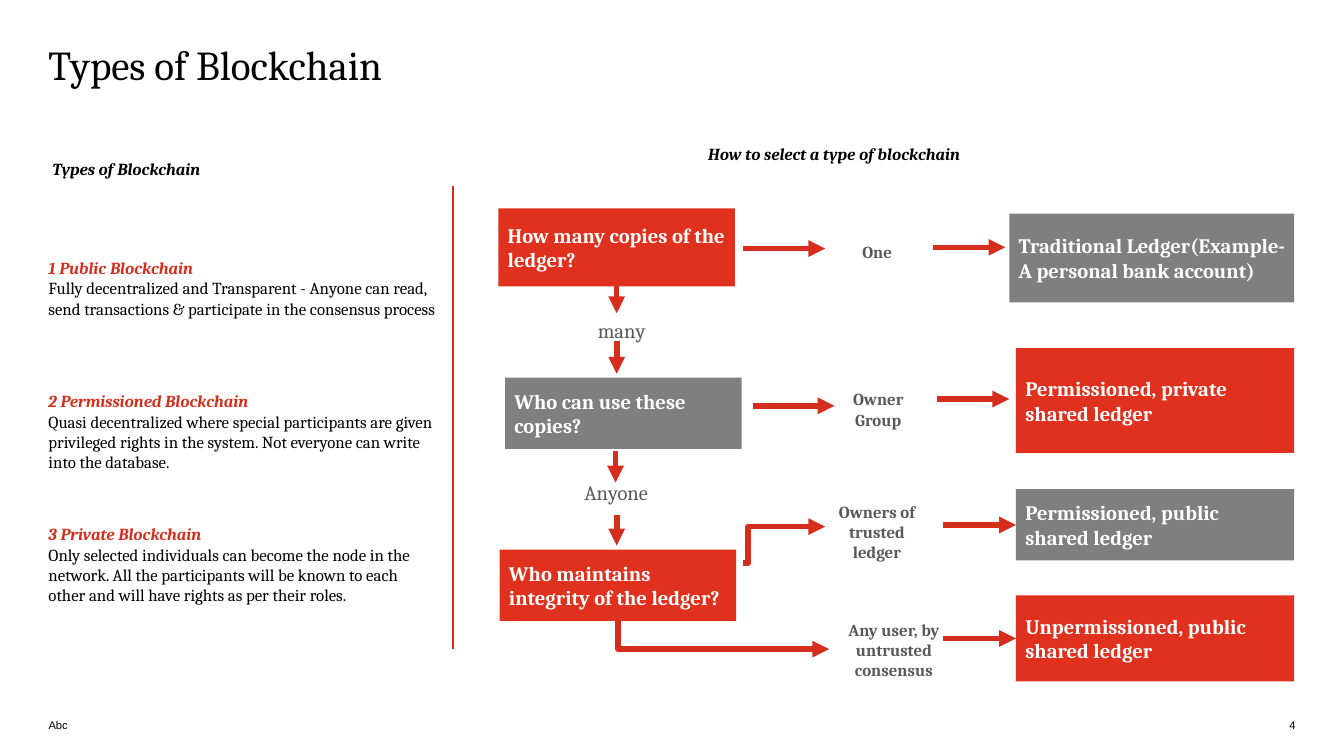
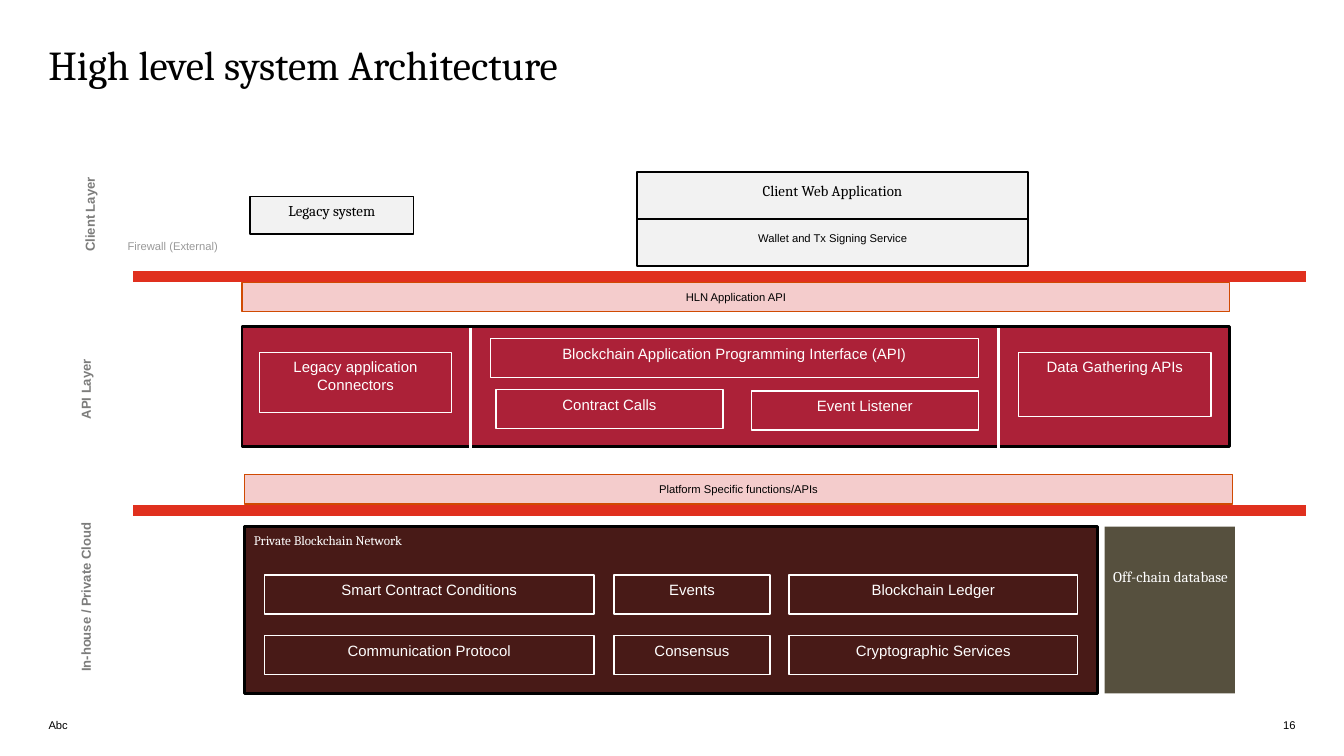
from lxml.etree import SubElement
from pptx import Presentation
from pptx.dml.color import RGBColor
from pptx.enum.shapes import MSO_CONNECTOR, MSO_SHAPE
from pptx.enum.text import MSO_ANCHOR, PP_ALIGN
from pptx.oxml.ns import qn
from pptx.util import Pt

SERIF, SANS = "Cambria", "Arial"
BLACK, WHITE, PALE = "000000", "FFFFFF", "F2F2F2"
RED, ARROW_RED, GREY, TEXT_GREY = "E0301E", "D62E1C", "7F7F7F", "595959"
LABEL_GREY, FIREWALL_GREY = "7C7C7B", "999999"
PINK, ORANGE, CRIMSON, MAROON, OLIVE = "F4CCCC", "D04A02", "AC2138", "481A17", "56503E"
LEFT, CENTER, RIGHT = PP_ALIGN.LEFT, PP_ALIGN.CENTER, PP_ALIGN.RIGHT
TOP, MIDDLE, BOTTOM = MSO_ANCHOR.TOP, MSO_ANCHOR.MIDDLE, MSO_ANCHOR.BOTTOM


def rgb(value):
    """Turn a hex string into a colour."""
    return RGBColor.from_string(value)


def add_run(p, text, size, color, font=SERIF, bold=False, italic=False):
    """Append one formatted run to a paragraph."""
    r = p.add_run()
    r.text = text
    r.font.name, r.font.size = font, Pt(size)
    r.font.bold, r.font.italic = bold, italic
    r.font.color.rgb = rgb(color)


def set_frame(sp, inset, anchor, align):
    """Prepare a text frame and return its first paragraph."""
    tf = sp.text_frame
    tf.word_wrap = True
    tf.margin_left = tf.margin_right = Pt(inset[0])
    tf.margin_top = tf.margin_bottom = Pt(inset[1])
    tf.vertical_anchor = anchor
    p = tf.paragraphs[0]
    p.alignment = align
    return p


def add_text(s, x, y, w, h, text, size, color, inset=(0, 0), anchor=TOP, align=LEFT, **style):
    """Place a text box with one run and return it."""
    sp = s.shapes.add_textbox(Pt(x), Pt(y), Pt(w), Pt(h))
    add_run(set_frame(sp, inset, anchor, align), text, size, color, **style)
    return sp


def add_box(s, x, y, w, h, fill=None, line=None, width=0.75):
    """Place a plain rectangle and return it."""
    sp = s.shapes.add_shape(MSO_SHAPE.RECTANGLE, Pt(x), Pt(y), Pt(w), Pt(h))
    sp.shadow.inherit = False
    if fill:
        sp.fill.solid()
        sp.fill.fore_color.rgb = rgb(fill)
    else:
        sp.fill.background()
    if line:
        sp.line.color.rgb = rgb(line)
        sp.line.width = Pt(width)
    else:
        sp.line.fill.background()
    return sp


def add_line(s, x1, y1, x2, y2, color=ARROW_RED, width=3, arrow=False, kind=MSO_CONNECTOR.STRAIGHT):
    """Draw a connector without shadow and return it."""
    cxn = s.shapes.add_connector(kind, Pt(x1), Pt(y1), Pt(x2), Pt(y2))
    cxn.line.color.rgb = rgb(color)
    cxn.line.width = Pt(width)
    if arrow:
        SubElement(cxn.line._get_or_add_ln(), qn("a:tailEnd"), type="triangle")
    SubElement(cxn._element.spPr, qn("a:effectLst"))
    return cxn


def add_step_arrow(s, x1, y1, x2, y2, bend):
    """Draw an arrow that goes across, up or down, and across again."""
    cxn = add_line(s, x1, y1, x2, y2, arrow=True, kind=MSO_CONNECTOR.ELBOW)
    guides = cxn._element.spPr.find(qn("a:prstGeom")).find(qn("a:avLst"))
    SubElement(guides, qn("a:gd"), name="adj1", fmla=f"val {round(bend * 100000)}")


def add_corner_arrow(s, x1, y1, x2, y2):
    """Draw an arrow that goes down and then right."""
    cx, cy = (x1 + x2) / 2, (y1 + y2) / 2
    half_w, half_h = (y2 - y1) / 2, (x2 - x1) / 2
    cxn = add_line(s, cx + half_w, cy - half_h, cx - half_w, cy + half_h,
                   arrow=True, kind=MSO_CONNECTOR.ELBOW)
    spPr = cxn._element.spPr
    spPr.find(qn("a:prstGeom")).set("prst", "bentConnector2")
    spPr.find(qn("a:xfrm")).set("rot", str(270 * 60000))


def add_slide(prs, title, number):
    """Add a slide with its title, footer and number."""
    s = prs.slides.add_slide(prs.slide_layouts[6])
    sp = add_text(s, 26, 25, 667.5, 51, title, 22, BLACK)
    sp.text_frame.paragraphs[0].line_spacing = 0.85
    add_text(s, 26, 384, 323, 8, "Abc", 6, BLACK, anchor=BOTTOM, font=SANS)
    add_text(s, 590, 384, 104, 8, number, 6, BLACK, anchor=BOTTOM, align=RIGHT, font=SANS)
    return s


def type_list(s, x, y, w, h):
    """List the three types beside a vertical rule."""
    add_text(s, x + 2, y, 198, 10, "Types of Blockchain", 9, BLACK, bold=True, italic=True)
    types = [
        ("1 Public Blockchain", "Fully decentralized and Transparent - Anyone can read, "
         "send transactions & participate in the consensus process"),
        ("2 Permissioned Blockchain", "Quasi decentralized where special participants are given "
         "privileged rights in the system. Not everyone can write into the database."),
        ("3 Private Blockchain", "Only selected individuals can become the node in the network. "
         "All the participants will be known to each other and will have rights as per their roles."),
    ]
    for i, (name, detail) in enumerate(types):
        sp = add_text(s, x, y + 53.2 + i * 71.3, 208, 44, name, 9, ARROW_RED, bold=True, italic=True)
        add_run(sp.text_frame.add_paragraph(), detail, 9, BLACK)
    add_line(s, x + w, y + 14.4, x + w, y + h, width=1)


def flow_box(s, x, y, w, h, fill, text):
    """Place a filled box of the decision flow."""
    sp = add_box(s, x, y, w, h, fill)
    add_run(set_frame(sp, (5, 3), MIDDLE, LEFT), text, 11, WHITE, bold=True)
    return sp


def question_column(s, x, y):
    """Stack the questions with the words that lead from one to the next."""
    questions = [
        (0, 34.6, 41.8, RED, "How many copies of the ledger?"),
        (3.6, 125.3, 38.2, GREY, "Who can use these copies?"),
        (0.7, 217.5, 38.2, RED, "Who maintains integrity of the ledger?"),
    ]
    boxes = [flow_box(s, x + dx, y + dy, 126.7, h, fill, text) for dx, dy, h, fill, text in questions]
    for dx, top, end in [(63.4, 76.4, 90.8), (63.4, 105.9, 123.2),
                         (62.8, 164.9, 181.5), (63.4, 198.8, 215.3)]:
        cxn = add_line(s, x + dx, y + top, x + dx, y + end, arrow=True)
        if top == 76.4:
            cxn.begin_connect(boxes[0], 2)
    for dx, dy, word in [(37.6, 95.8, "many"), (34.7, 182.9, "Anyone")]:
        sp = add_box(s, x + dx, y + dy, 56.9, 8, WHITE)
        add_run(set_frame(sp, (5, 3), MIDDLE, CENTER), word, 11, TEXT_GREY)


def answer_column(s, x, y):
    """Place the answers and the arrows that reach them."""
    for dx, dy in [(131.2, 56.2), (136.2, 140.4)]:
        add_line(s, x + dx, y + dy, x + dx + 43.9, y + dy, arrow=True)
    add_step_arrow(s, x + 131.2, y + 224.7, x + 175.1, y + 205.2, 0.06)
    add_corner_arrow(s, x + 64.2, y + 255.6, x + 177.2, y + 270.8)
    answers = [
        (174.4, 49, 56.9, 18, "One"),
        (180.8, 126.8, 45.4, 31, "Owner Group"),
        (171.5, 192.3, 62.6, 31, "Owners of trusted ledger"),
        (174.4, 255.6, 74.9, 31, "Any user, by untrusted consensus"),
    ]
    for dx, dy, w, h, text in answers:
        add_text(s, x + dx, y + dy, w, h, text, 9, TEXT_GREY, (5, 3), MIDDLE, CENTER, bold=True)


def result_column(s, x, y, w):
    """Align the resulting ledgers to the right edge, each with its arrow."""
    results = [
        (37.5, 152.6, 47.5, GREY, "Traditional Ledger(Example-A personal bank account)", 232.7, 55.5),
        (109.5, 149, 56.2, RED, "Permissioned, private shared ledger", 234.8, 136.8),
        (185.1, 149, 38.2, GREY, "Permissioned, public shared ledger", 238.4, None),
        (242, 149, 46.1, RED, "Unpermissioned, public shared ledger", 238.4, None),
    ]
    for dy, box_w, h, fill, text, start, level in results:
        sp = flow_box(s, x + w - box_w, y + dy, box_w, h, fill, text)
        arrow_y = y + (level or dy + h / 2)
        cxn = add_line(s, x + start, arrow_y, x + start + 38.9, arrow_y, arrow=True)
        if level is None:
            cxn.end_connect(sp, 1)


def types_slide(prs):
    """Build the slide on the types of blockchain."""
    s = add_slide(prs, "Types of Blockchain", "4")
    type_list(s, 26, 85, 216.6, 262.8)
    x, y = 267, 77
    add_text(s, x + 112.4, y, 198, 10, "How to select a type of blockchain", 9, BLACK,
             bold=True, italic=True)
    question_column(s, x, y)
    answer_column(s, x, y)
    result_column(s, x, y, 426.3)


def outlined_box(s, x, y, w, h, text):
    """Place a white outlined component."""
    sp = add_box(s, x, y, w, h, line=WHITE)
    add_run(set_frame(sp, (5, 3), TOP, CENTER), text, 8, WHITE, SANS)


def layer_label(s, x, y, h, text):
    """Place a layer name that reads upwards."""
    sp = add_text(s, x, y, 113, h, text, 7, LABEL_GREY, align=CENTER, font=SANS, bold=True)
    sp.rotation = 270


def client_layer(s, x, y):
    """Place the legacy system and the web application."""
    sp = add_box(s, x, y + 12.9, 87.8, 20.2, PALE, BLACK)
    add_run(set_frame(sp, (5, 3), TOP, CENTER), "Legacy system", 8, BLACK)
    left, w = x + 207.4, 209.5
    add_box(s, left, y, w, 50.4, PALE, BLACK)
    add_line(s, left, y + 25.2, left + w, y + 25.2, BLACK, 0.75)
    add_text(s, left, y + 2.1, w, 18, "Client Web Application", 8, BLACK, (5, 3), align=CENTER)
    add_text(s, left, y + 28.8, w, 14.4, "Wallet and Tx Signing Service", 6, BLACK, (5, 3),
             align=CENTER, font=SANS)


def api_bar(s, x, y, text):
    """Place a thin interface bar."""
    sp = add_box(s, x, y, 529.2, 15.8, PINK, ORANGE)
    add_run(set_frame(sp, (5, 5), MIDDLE, CENTER), text, 6, BLACK, SANS)


def api_panel(s, x, y, w, h):
    """Place the three-part API panel."""
    add_box(s, x, y, w, h, CRIMSON, BLACK, 1.5)
    for dx in (122.4, 405.4):
        add_line(s, x + dx, y + 0.7, x + dx, y + 90, WHITE, 1.5)
    for dx, dy, box_w, box_h, text in [
        (133.2, 6.5, 261.4, 20.9, "Blockchain Application Programming Interface (API)"),
        (136.1, 33.8, 121.7, 20.9, "Contract Calls"),
        (272.9, 34.5, 121.7, 20.9, "Event Listener"),
        (9.4, 13.7, 103, 32.4, "Legacy application Connectors"),
        (416.2, 13.7, 103, 34.6, "Data Gathering APIs"),
    ]:
        outlined_box(s, x + dx, y + dy, box_w, box_h, text)


def network_panel(s, x, y, w, h):
    """Place the private network grid and the off-chain database."""
    add_box(s, x, y, w, h, MAROON, BLACK, 1.5)
    add_text(s, x, y, 181, 18, "Private Blockchain Network", 7, WHITE, (5, 3))
    columns = [(10.8, 176.4), (198, 83.5), (291.6, 154.8)]
    rows = [("Smart Contract Conditions", "Events", "Blockchain Ledger"),
            ("Communication Protocol", "Consensus", "Cryptographic Services")]
    for i, row in enumerate(rows):
        for (dx, box_w), text in zip(columns, row):
            outlined_box(s, x + dx, y + 25.9 + i * 32.4, box_w, 20.9, text)
    add_box(s, x + w + 3.6, y, 69.8, h, OLIVE)
    add_text(s, x + w - 2.1, y + 18.8, 82.1, 15, "Off-chain database", 8, WHITE, (5, 3), align=CENTER)


def architecture_slide(prs):
    """Build the slide on the system architecture."""
    s = add_slide(prs, "High level system Architecture", "16")
    layer_label(s, -0.7, 103, 23.8, "Client Layer")
    layer_label(s, -2.9, 196.6, 23.8, "API Layer")
    layer_label(s, -5.8, 311, 18, "In-house / Private Cloud")
    client_layer(s, 133.9, 92.2)
    add_text(s, 63.4, 124.6, 131.8, 32.4, "Firewall (External)", 6, FIREWALL_GREY, (5, 5), font=SANS)
    for y in (148.3, 273.6):
        add_line(s, 71.3, y, 699.8, y, RED, 6)
    api_bar(s, 129.6, 151.2, "HLN Application API")
    api_panel(s, 129.6, 175, 529.2, 64.1)
    api_bar(s, 131, 254.2, "Platform Specific functions/APIs")
    network_panel(s, 131, 282.2, 457.2, 89.3)


def main():
    """Build and save the presentation."""
    prs = Presentation()
    prs.slide_width, prs.slide_height = Pt(720), Pt(405)
    types_slide(prs)
    architecture_slide(prs)
    prs.save("out.pptx")


if __name__ == "__main__":
    main()
